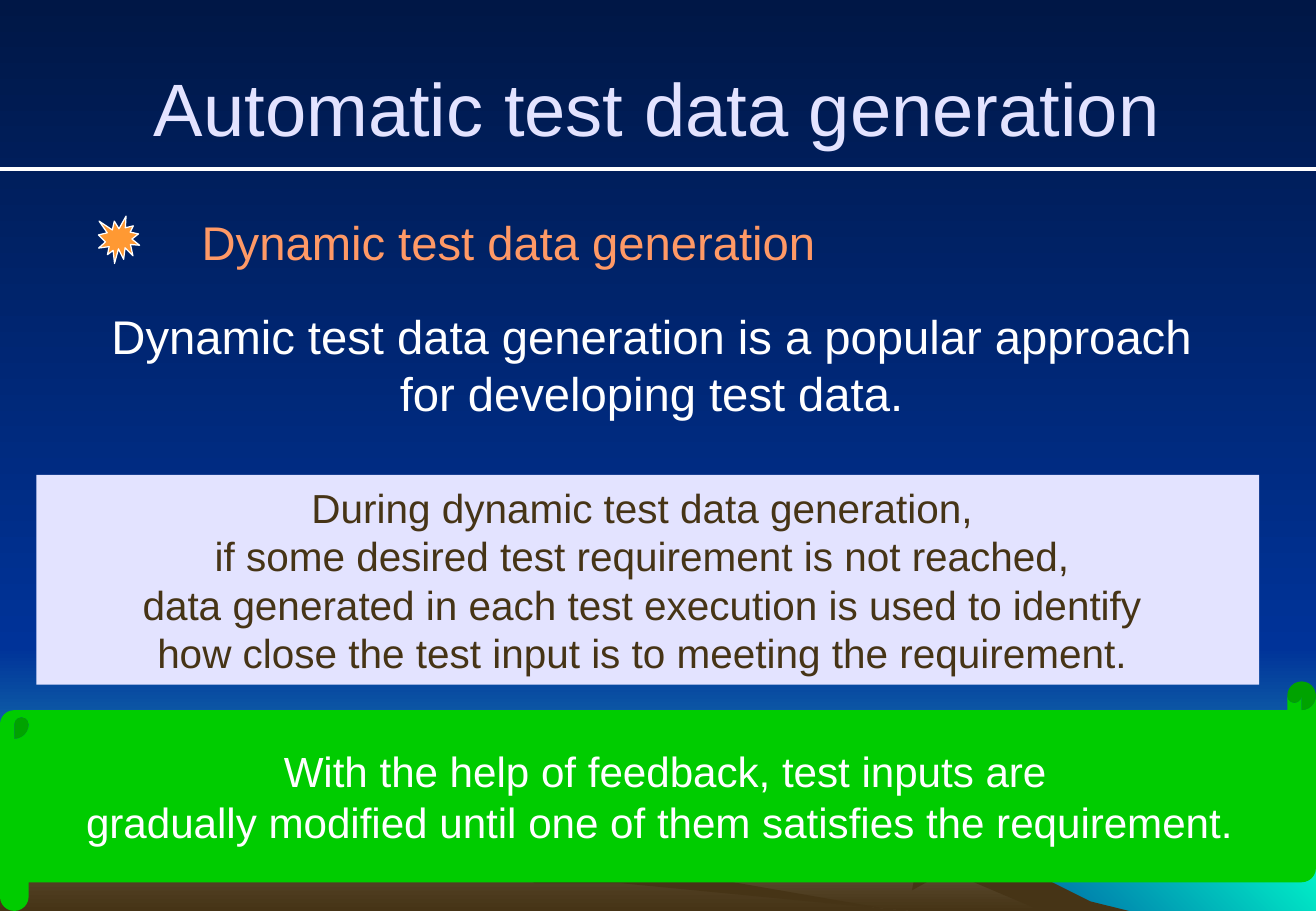
import pptx
import pptx.util
import pptx.dml.color
import pptx.enum.shapes
import pptx.enum.text
import pptx.oxml.ns
import lxml.etree

Cm = pptx.util.Cm
Pt = pptx.util.Pt
RGBColor = pptx.dml.color.RGBColor
SHAPE = pptx.enum.shapes.MSO_SHAPE
ALIGN = pptx.enum.text.PP_ALIGN

WIDTH, HEIGHT = 27.53, 19.05
HORIZON = 13.54
FONT = "Arial"

WHITE = RGBColor(0xFF, 0xFF, 0xFF)
LAVENDER = RGBColor(0xE3, 0xE3, 0xFF)
SALMON = RGBColor(0xFF, 0x99, 0x66)
ORANGE = RGBColor(0xFF, 0x99, 0x33)
GREEN = RGBColor(0x00, 0xCC, 0x00)
NIGHT = RGBColor(0x00, 0x17, 0x46)
BLUE = RGBColor(0x00, 0x33, 0x99)
TEAL = RGBColor(0x33, 0xCC, 0xCC)
AQUA = RGBColor(0x00, 0xFF, 0xCC)
BROWN = RGBColor(0x46, 0x34, 0x16)
SAND = RGBColor(0x83, 0x77, 0x63)
EARTH = RGBColor(0x72, 0x64, 0x4E)

TITLE = ["Automatic test data generation"]
HEADING = ["Dynamic test data generation"]
DEFINITION = [
    "Dynamic test data generation is a popular approach ",
    "for developing test data. ",
]
EXPLANATION = [
    "During dynamic test data generation, ",
    "if some desired test requirement is not reached, ",
    "data generated in each test execution is used to identify ",
    "how close the test input is to meeting the requirement. ",
]
FEEDBACK = [
    "With the help of feedback, test inputs are",
    "gradually modified until one of them satisfies the requirement. ",
]

DOWN, DOWN_LEFT = 270, 225
BACKDROP = [
    ((0, HORIZON, WIDTH, HEIGHT - HORIZON), (BLUE, TEAL), DOWN),
    ((0, 0, WIDTH, HORIZON), (NIGHT, BLUE), DOWN),
    ((18.8, 17.4, WIDTH - 18.8, HEIGHT - 17.4), (AQUA, BLUE), DOWN_LEFT),
]

RIGHT_HILL = [
    (22.07, 18.8), (21.41, 18.47), (21.01, 18.36), (19.89, 17.73),
    (18.85, 16.76), (18.03, 17.04), (17.3, 17.04), (15.6, 17.7),
    (14.76, 17.53), (14.48, 17.09), (13.36, 17.09), (12.95, 16.71),
    (12.04, 17.04), (10.85, 17.4), (8.99, 18.01), (7.62, 18.77),
    (7.11, HEIGHT), (22.58, HEIGHT),
]
RIGHT_SHADE = [
    (21.89, 18.39), (21.23, 18.39), (20.19, 17.86), (19.46, 17.04),
    (18.85, 16.76), (19, 17.27), (19.23, 17.83), (19.08, 18.62),
    (19.81, 18.21), (21.79, HEIGHT), (23.62, HEIGHT), (22.81, 18.85),
]
LEFT_HILL = [
    (19, HEIGHT), (18.36, 19), (11.89, 18.08), (9.73, 16.89),
    (8.74, 16.87), (7.47, 17.32), (6.48, 17.3), (6.15, 16.84),
    (5.44, 16.71), (4.39, 17.04), (2.59, 17.04), (1.85, 16.81),
    (0.71, 17.4), (0, 17.53), (0, HEIGHT),
]
LEFT_SHADE = [
    (10.16, 16.97), (9.45, 16.89), (9.27, 17.45), (10.01, 17.55),
    (10.29, 18.08), (11.2, 18.47), (13, 18.47), (19, HEIGHT),
    (18.8, HEIGHT), (12.52, 17.96), (11.73, 17.58), (10.62, 17.15),
]
LANDSCAPE = [
    (RIGHT_HILL, (SAND, BROWN)),
    (RIGHT_SHADE, (BROWN,)),
    (LEFT_HILL, (EARTH, BROWN)),
    (LEFT_SHADE, (BROWN,)),
]


def paint(fill, colors, angle=DOWN):
    if len(colors) == 1:
        fill.solid()
        fill.fore_color.rgb = colors[0]
        return
    fill.gradient()
    fill.gradient_angle = angle
    for stop, color in zip(fill.gradient_stops, colors):
        stop.color.rgb = color


def finish(shape, colors, angle=DOWN):
    shape.shadow.inherit = False
    shape.line.fill.background()
    paint(shape.fill, colors, angle)
    return shape


def add_preset(slide, kind, box, colors, angle=DOWN):
    shape = slide.shapes.add_shape(kind, *map(Cm, box))
    return finish(shape, colors, angle)


def add_outline(slide, points, colors):
    corners = [(Cm(x), Cm(y)) for x, y in points]
    builder = slide.shapes.build_freeform(*corners[0])
    builder.add_line_segments(corners[1:], close=True)
    return finish(builder.convert_to_shape(), colors)


def add_box(slide, box):
    return slide.shapes.add_textbox(*map(Cm, box))


def write(shape, lines, size, color=WHITE, align=ALIGN.CENTER, wrap=False, before=0):
    frame = shape.text_frame
    frame.word_wrap = wrap
    frame.vertical_anchor = pptx.enum.text.MSO_ANCHOR.MIDDLE
    frame.text = "\n".join(lines)
    for paragraph in frame.paragraphs:
        paragraph.alignment = align
        paragraph.space_before = Pt(before)
        for run in paragraph.runs:
            run.font.name = FONT
            run.font.size = Pt(size)
            run.font.color.rgb = color


def add_rule(slide, y):
    rule = slide.shapes.add_connector(
        pptx.enum.shapes.MSO_CONNECTOR.STRAIGHT, 0, Cm(y), Cm(WIDTH), Cm(y))
    rule.line.color.rgb = WHITE
    rule.line.width = Pt(2.25)
    lxml.etree.SubElement(rule.element.spPr, pptx.oxml.ns.qn("a:effectLst"))


def main():
    presentation = pptx.Presentation()
    presentation.slide_width = Cm(WIDTH)
    presentation.slide_height = Cm(HEIGHT)
    slide = presentation.slides.add_slide(presentation.slide_layouts[6])
    paint(slide.background.fill, (NIGHT, BLUE))

    for box, colors, angle in BACKDROP:
        add_preset(slide, SHAPE.RECTANGLE, box, colors, angle)
    for points, colors in LANDSCAPE:
        add_outline(slide, points, colors)

    write(add_box(slide, (1.37, 0.64, 24.77, 3.18)), TITLE, 44, LAVENDER, wrap=True)
    add_rule(slide, 3.53)

    write(add_box(slide, (3.97, 3.38, 16.17, 3.33)), HEADING, 28, SALMON,
          align=ALIGN.LEFT, before=7)
    burst = add_preset(slide, SHAPE.EXPLOSION1, (2.06, 4.52, 0.86, 0.99), (ORANGE,))
    burst.line.color.rgb = WHITE
    burst.line.width = Pt(0.75)

    write(add_box(slide, (0, 6.12, WIDTH, 3)), DEFINITION, 28)
    panel = add_preset(slide, SHAPE.RECTANGLE, (0.76, 9.93, 25.58, 4.39), (LAVENDER,))
    write(panel, EXPLANATION, 24, BROWN)
    scroll = add_preset(slide, SHAPE.HORIZONTAL_SCROLL, (0, 14.25, WIDTH, 4.8), (GREEN,))
    write(scroll, FEEDBACK, 25)

    presentation.save("out.pptx")


if __name__ == "__main__":
    main()
